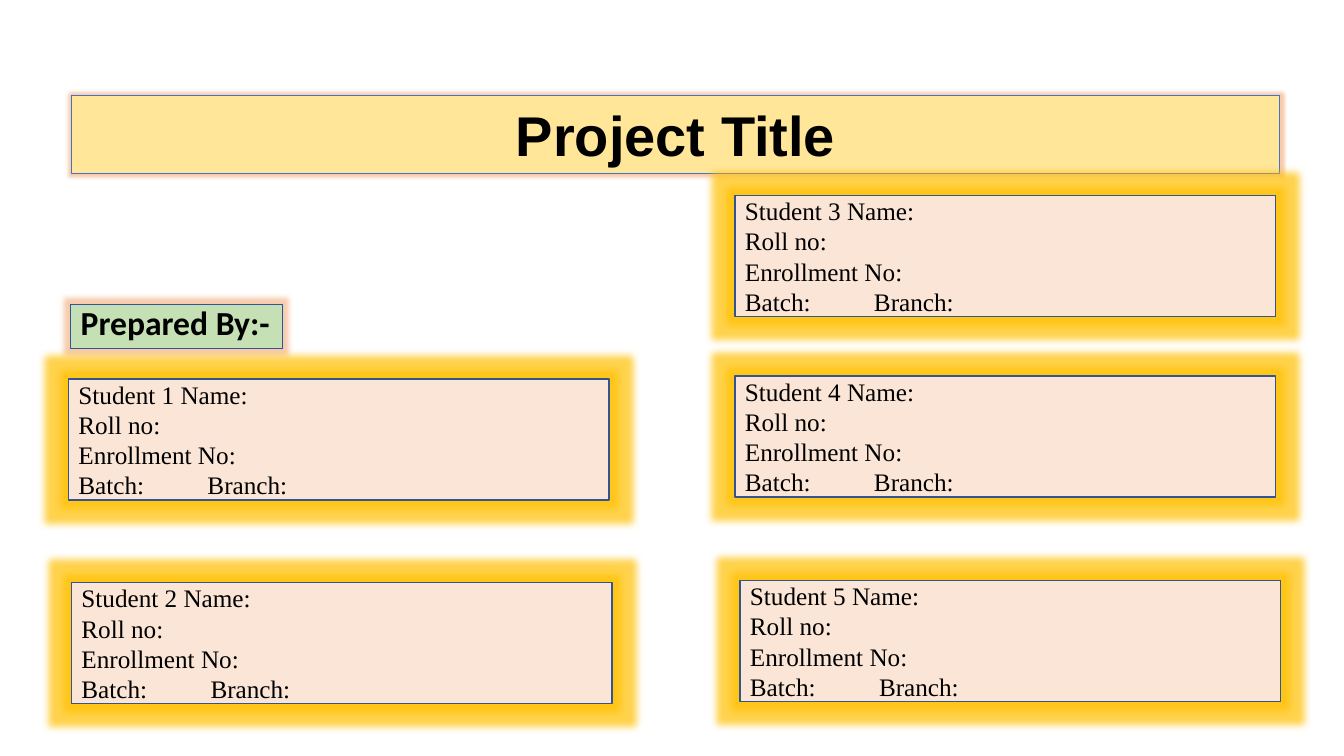
"""Build a project cover slide with a title, a label and five student cards."""
from lxml.etree import SubElement
from pptx import Presentation
from pptx.dml.color import RGBColor
from pptx.enum.shapes import MSO_SHAPE
from pptx.enum.text import MSO_ANCHOR, MSO_AUTO_SIZE, PP_ALIGN
from pptx.oxml.ns import qn
from pptx.util import Inches, Pt

TITLE = {"lines": ["Project Title"], "box": (0.71, 0.95, 11.98, 0.77)}
LABEL = {"lines": ["Prepared By:-"], "box": (0.7, 3.02, 2.1, 0.44)}
FIELDS = ["Roll no:", "Enrollment No:", "Batch:\tBranch:"]
CARDS = {1: (0.68, 3.76), 2: (0.71, 5.78), 3: (7.29, 1.94), 4: (7.29, 3.73), 5: (7.34, 5.76)}
CARD_SIZE = (5.36, 1.2)
BRANCH_TAB = 1.28

THEME = {
    "title": {"fill": "FFE699", "line": ("4472C4", 0.75), "glow": ("ED7D31", 5, 40),
              "font": {"name": "Arial", "size": Pt(40), "bold": True},
              "para": {"alignment": PP_ALIGN.CENTER, "line_spacing": 0.9},
              "anchor": MSO_ANCHOR.BOTTOM},
    "label": {"fill": "C5E0B4", "line": ("2F5597", 0.75), "glow": ("ED7D31", 8, 40),
              "font": {"name": "Calibri", "size": Pt(24), "bold": True},
              "para": {"alignment": PP_ALIGN.LEFT, "line_spacing": 0.8, "space_before": Pt(0)},
              "anchor": MSO_ANCHOR.TOP},
    "card": {"fill": "FBE5D6", "line": ("325491", 1), "glow": ("FFC000", 11, 70),
             "font": {"name": "Times New Roman", "size": Pt(18), "bold": False},
             "para": {"alignment": PP_ALIGN.LEFT},
             "anchor": MSO_ANCHOR.MIDDLE},
    "text": "000000",
}


def set_attrs(obj, values):
    """Set every named attribute on an object."""
    for name, value in values.items():
        setattr(obj, name, value)


def add_glow(sp, color, radius, opacity):
    """Give a shape a soft coloured glow instead of a shadow."""
    sp.shadow.inherit = False
    effects = sp._element.spPr.find(qn("a:effectLst"))
    glow = SubElement(effects, qn("a:glow"), rad=str(Pt(radius)))
    clr = SubElement(glow, qn("a:srgbClr"), val=color)
    SubElement(clr, qn("a:alpha"), val=str(opacity * 1000))


def add_tab(p, pos):
    """Add a left tab stop to a paragraph."""
    tabs = SubElement(p._p.get_or_add_pPr(), qn("a:tabLst"))
    SubElement(tabs, qn("a:tab"), pos=str(Inches(pos)), algn="l")


def dress(sp, lines, box, style):
    """Place a shape, colour it and write its lines."""
    set_attrs(sp, dict(zip(("left", "top", "width", "height"), map(Inches, box))))
    sp.fill.solid()
    sp.fill.fore_color.rgb = RGBColor.from_string(style["fill"])
    color, width = style["line"]
    sp.line.color.rgb = RGBColor.from_string(color)
    sp.line.width = Pt(width)
    add_glow(sp, *style["glow"])
    tf = sp.text_frame
    set_attrs(tf, {"word_wrap": True, "auto_size": MSO_AUTO_SIZE.NONE,
                   "vertical_anchor": style["anchor"]})
    for i, line in enumerate(lines):
        p = tf.paragraphs[0] if i == 0 else tf.add_paragraph()
        set_attrs(p, style["para"])
        if "\t" in line:
            add_tab(p, BRANCH_TAB)
        r = p.add_run()
        r.text = line
        set_attrs(r.font, style["font"])
        r.font.color.rgb = RGBColor.from_string(THEME["text"])


def main():
    """Build and save the slide."""
    prs = Presentation()
    prs.slide_width, prs.slide_height = Inches(13.33), Inches(7.5)
    s = prs.slides.add_slide(prs.slide_layouts[0])
    dress(s.shapes.title, **TITLE, style=THEME["title"])
    dress(s.placeholders[1], **LABEL, style=THEME["label"])
    for number, corner in CARDS.items():
        box = corner + CARD_SIZE
        sp = s.shapes.add_shape(MSO_SHAPE.RECTANGLE, *map(Inches, box))
        dress(sp, [f"Student {number} Name:", *FIELDS], box, THEME["card"])
    prs.save("out.pptx")


if __name__ == "__main__":
    main()
